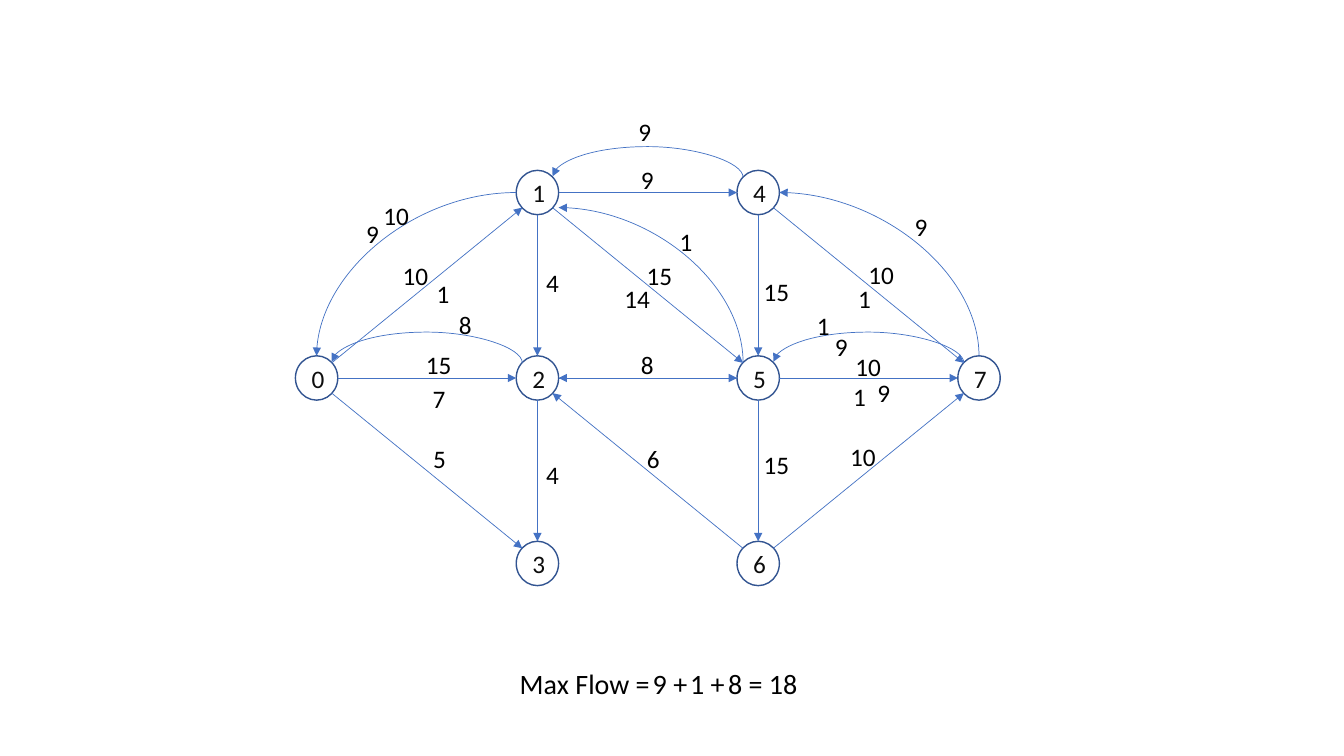
"""Build a slide that shows a flow network and its maximum flow."""
from dataclasses import dataclass

from lxml.etree import SubElement as Sub
from pptx import Presentation as Deck
from pptx.dml.color import RGBColor as Rgb
from pptx.enum.shapes import MSO_CONNECTOR as Link, MSO_SHAPE as Form
from pptx.enum.text import MSO_ANCHOR as Anchor, MSO_AUTO_SIZE as Fit, PP_ALIGN as Align
from pptx.oxml.ns import qn
from pptx.util import Inches, Pt


@dataclass(frozen=True)
class Theme:
    """Colours, font and sizes of the slide."""
    font: str = "Calibri"
    ink: Rgb = Rgb(0, 0, 0)
    digit: Rgb = Rgb(0x0D, 0x0D, 0x0D)
    white: Rgb = Rgb(0xFF, 0xFF, 0xFF)
    rim: Rgb = Rgb(0x32, 0x54, 0x91)
    edge: Rgb = Rgb(0x44, 0x72, 0xC4)
    small: Pt = Pt(18)
    large: Pt = Pt(20)
    thin: Pt = Pt(0.5)
    thick: Pt = Pt(1)


LOOK = Theme()
WIDE, TALL = 0.42, 0.44
SLANT = 0.15
RISE, STEP = 0.31, 0.01
NODES = {0: (0, 1), 2: (1, 1), 5: (2, 1), 7: (3, 1),
         1: (1, 0), 4: (2, 0), 3: (1, 2), 6: (2, 2)}
EDGES = [(0, 1), (0, 2), (0, 3), (1, 4), (1, 5), (1, 2), (2, 5), (2, 3),
         (6, 2), (5, 6), (4, 5), (4, 7), (5, 7), (6, 7), (5, 2)]
ARCS = [(4, 1), (7, 5), (2, 0)]
LABELS = {
    0.46: [("10", 0.96, 0.84), ("15", 1.19, 1.73), ("5", 1.2, 2.66),
           ("4", 2.32, 0.91), ("4", 2.32, 2.82), ("8", 3.26, 1.73),
           ("6", 3.32, 2.66), ("15", 4.54, 2.72), ("15", 3.38, 0.84),
           ("9", 3.26, -0.11), ("10", 5.4, 2.64), ("15", 4.54, 1),
           ("10", 5.58, 0.83), ("10", 5.45, 1.75), ("10", 0.77, 0.25),
           ("14", 3.16, 1.07)],
    0.33: [("1", 1.3, 1.02), ("1", 5.48, 1.07), ("9", 0.6, 0.43),
           ("9", 3.3, -0.58), ("9", 6.04, 0.36), ("1", 3.71, 0.51),
           ("1", 5.07, 1.34), ("9", 5.67, 2), ("8", 1.52, 1.33),
           ("7", 1.26, 2.06), ("9", 5.25, 1.55), ("1", 5.43, 2.04)],
}
TERMS = [("Max Flow =", 0, 1.5), ("9 +", 1.32, 0.55),
         ("1 +", 1.69, 0.55), ("8 = 18", 2.07, 0.89)]


def put(item, values):
    """Set attributes of an item from a dict."""
    for name, value in values.items():
        setattr(item, name, value)


def write(frame, text, size, ink):
    """Write one centred line in a text frame."""
    para = frame.paragraphs[0]
    para.alignment = Align.CENTER
    run = para.add_run()
    run.text = text
    put(run.font, {"name": LOOK.font, "size": size})
    run.font.color.rgb = ink


def label(slide, text, box, size):
    """Add a text box that does not wrap."""
    frame = slide.shapes.add_textbox(*map(Inches, box)).text_frame
    put(frame, {"word_wrap": False, "auto_size": Fit.SHAPE_TO_FIT_TEXT})
    write(frame, text, size, LOOK.ink)


def node(slide, text, mid):
    """Add a numbered circle around a point."""
    box = mid[0] - WIDE / 2, mid[1] - TALL / 2, WIDE, TALL
    disc = slide.shapes.add_shape(Form.OVAL, *map(Inches, box))
    disc.shadow.inherit = False
    disc.fill.solid()
    disc.fill.fore_color.rgb = LOOK.white
    disc.line.color.rgb = LOOK.rim
    disc.line.width = LOOK.thick
    disc.text_frame.vertical_anchor = Anchor.MIDDLE
    write(disc.text_frame, text, LOOK.small, LOOK.digit)


def arrow(slide, start, end, kind=Link.STRAIGHT):
    """Add a thin arrow and return its shape properties."""
    link = slide.shapes.add_connector(kind, *map(Inches, (*start, *end)))
    link.line.color.rgb = LOOK.edge
    link.line.width = LOOK.thin
    props = link.element.spPr
    Sub(props.find(qn("a:ln")), qn("a:tailEnd"), type="triangle")
    Sub(props, qn("a:effectLst"))
    return props


def bend(slide, start, end):
    """Add a quarter curve that leaves level and lands upright."""
    props = arrow(slide, start, end, Link.CURVE)
    props.find(qn("a:prstGeom")).set("prst", "curvedConnector2")
    return props


def climb(slide, start, end):
    """Add a quarter curve that leaves upward and lands level."""
    midx, midy = (start[0] + end[0]) / 2, (start[1] + end[1]) / 2
    halfx, halfy = (start[0] - end[0]) / 2, (start[1] - end[1]) / 2
    props = bend(slide, (midx - halfy, midy + halfx), (midx + halfy, midy - halfx))
    props.find(qn("a:xfrm")).set("rot", str(270 * 60000))
    return props


def arch(slide, start, end):
    """Add a curve that rises over the gap between two points."""
    geom = climb(slide, start, (end[0], end[1] - STEP)).find(qn("a:prstGeom"))
    geom.set("prst", "curvedConnector3")
    guides = geom.find(qn("a:avLst"))
    for old in list(guides):
        guides.remove(old)
    Sub(guides, qn("a:gd"), name="adj1", fmla=f"val {round(RISE / STEP * 100000)}")


def graph(slide, box):
    """Draw the flow network in a box."""
    left, top, width, height = box
    gapx, gapy = (width - WIDE) / 3, (height - TALL) / 2
    mids = {key: (left + WIDE / 2 + col * gapx, top + TALL / 2 + row * gapy)
            for key, (col, row) in NODES.items()}

    def port(key, across, down):
        """Find the point on a circle's rim in a given direction."""
        reach = (SLANT, SLANT) if across and down else (WIDE / 2, TALL / 2)
        return mids[key][0] + across * reach[0], mids[key][1] + down * reach[1]

    for key, mid in mids.items():
        node(slide, str(key), mid)
    for tail, head in EDGES:
        way = [(b > a) - (b < a) for a, b in zip(NODES[tail], NODES[head])]
        arrow(slide, port(tail, *way), port(head, -way[0], -way[1]))
    bend(slide, port(1, -1, 0), port(0, 0, -1))
    climb(slide, port(7, 0, -1), port(4, 1, 0))
    climb(slide, port(5, -1, -1), (port(1, 1, 0)[0], port(1, 1, 1)[1]))
    for tail, head in ARCS:
        arch(slide, port(tail, -1, -1), port(head, 1, -1))
    for span, marks in LABELS.items():
        for text, x, y in marks:
            label(slide, text, (left + x, top + y, span, 0.4), LOOK.small)


def total(slide, box):
    """Write the sum of the flows in a box."""
    left, top, _, height = box
    for text, x, span in TERMS:
        label(slide, text, (left + x, top, span, height), LOOK.large)


def main():
    """Build and save the deck."""
    deck = Deck()
    put(deck, {"slide_width": Inches(13.33), "slide_height": Inches(7.5)})
    slide = deck.slides.add_slide(deck.slide_layouts[6])
    graph(slide, (2.93, 1.69, 6.99, 4.12))
    total(slide, (5.05, 6.56, 2.96, 0.44))
    deck.save("out.pptx")


main()
